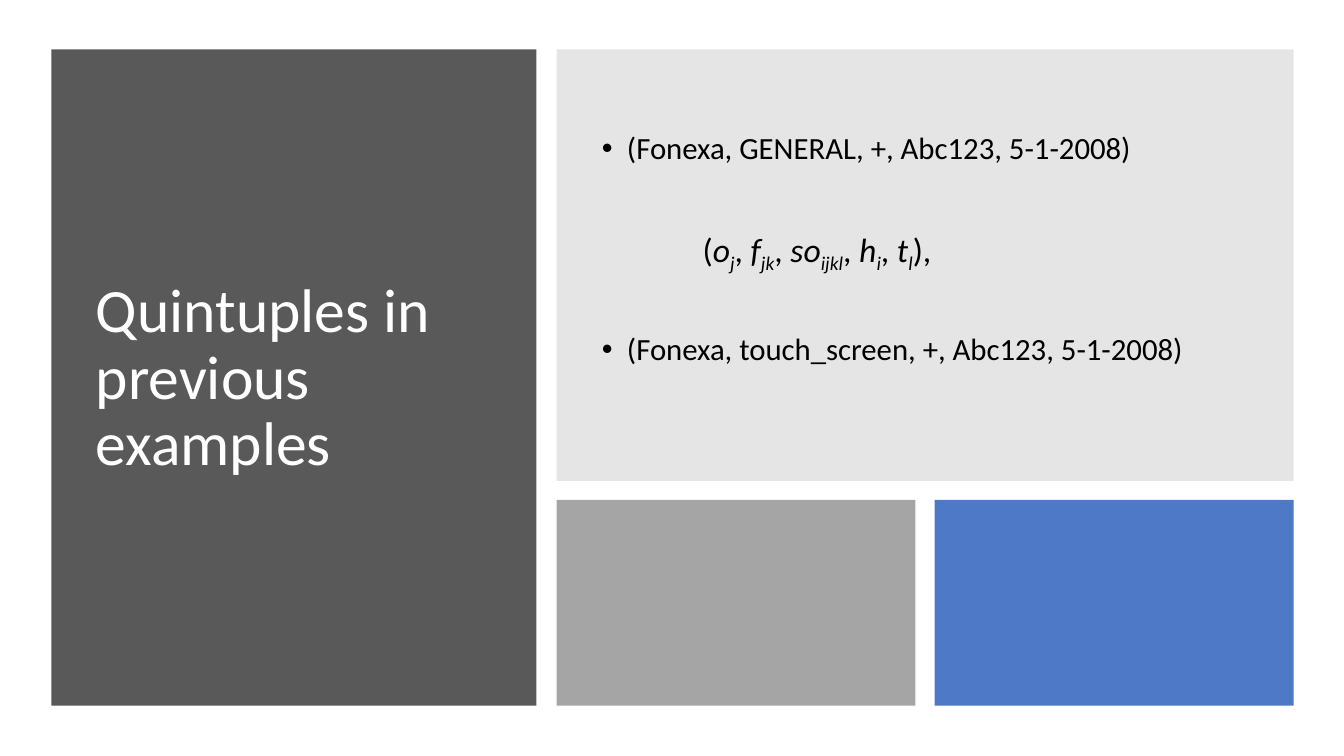
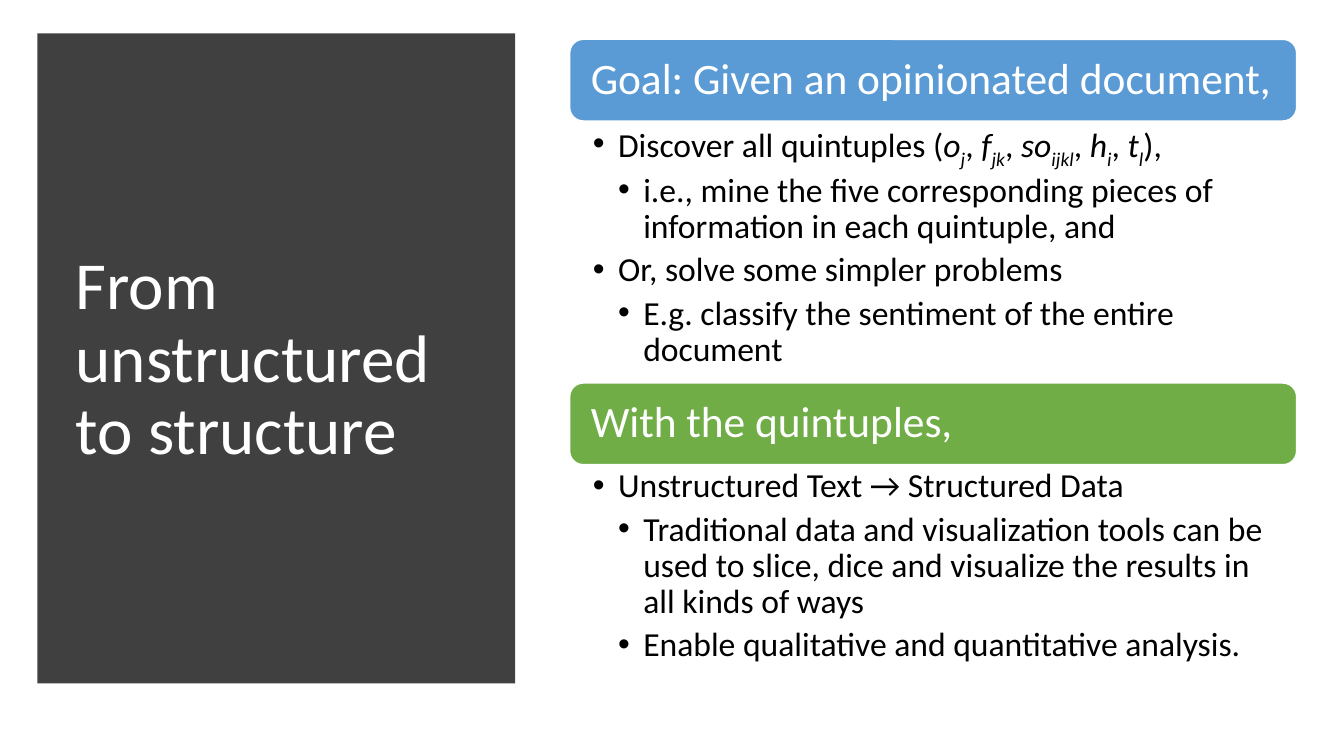
from lxml import etree
from pptx import Presentation
from pptx.dml.color import RGBColor
from pptx.enum.shapes import MSO_SHAPE
from pptx.enum.text import MSO_ANCHOR, MSO_AUTO_SIZE, PP_ALIGN
from pptx.oxml.ns import qn
from pptx.util import Inches, Pt

RECT, ROUNDED = MSO_SHAPE.RECTANGLE, MSO_SHAPE.ROUNDED_RECTANGLE
TOP, MIDDLE = MSO_ANCHOR.TOP, MSO_ANCHOR.MIDDLE
LEFT, NO_FIT = PP_ALIGN.LEFT, MSO_AUTO_SIZE.NONE

# Shared style
FONT = "Calibri"
LINE_SPACING = 0.9
INDENT = 0.25
WHITE = RGBColor(0xFF, 0xFF, 0xFF)
BLACK = RGBColor(0x00, 0x00, 0x00)
DARK_GREY = RGBColor(0x59, 0x59, 0x59)
CHARCOAL = RGBColor(0x40, 0x40, 0x40)
MID_GREY = RGBColor(0x80, 0x80, 0x80)
LIGHT_GREY = RGBColor(0xA5, 0xA5, 0xA5)
BLUE = RGBColor(0x44, 0x72, 0xC4)
SKY = RGBColor(0x5B, 0x9B, 0xD5)
GREEN = RGBColor(0x70, 0xAD, 0x47)

# Content: a tuple of (symbol, subscript) pairs stands for the formula
QUINTUPLE = (("o", "j"), ("f", "jk"), ("so", "ijkl"), ("h", "i"), ("t", "l"))

EXAMPLES_TITLE = "Quintuples in previous examples"
EXAMPLES = [  # parts, size, bulleted
    (["(Fonexa, GENERAL, +, Abc123, 5-1-2008)"], 22, True),
    ([QUINTUPLE], 24, False),
    (["(Fonexa, touch_screen, +, Abc123, 5-1-2008)"], 22, True),
]

STRUCTURE_TITLE = "From unstructured to structure"
SECTIONS = [  # heading, colour, body height, [(level, parts)]
    ("Goal: Given an opinionated document,", SKY, 2.6, [
        (1, ["Discover all quintuples ", QUINTUPLE]),
        (2, ["i.e., mine the five corresponding pieces of "
             "information in each quintuple, and"]),
        (1, ["Or, solve some simpler problems"]),
        (2, ["E.g. classify the sentiment of the entire document"]),
    ]),
    ("With the quintuples,", GREEN, 2.11, [
        (1, ["Unstructured Text → Structured Data"]),
        (2, ["Traditional data and visualization tools can be used to slice, "
             "dice and visualize the results in all kinds of ways"]),
        (2, ["Enable qualitative and quantitative analysis."]),
    ]),
]


def add_box(slide, kind, box, color, alpha=None):
    sp = slide.shapes.add_shape(kind, *map(Inches, box))
    sp.shadow.inherit = False
    sp.fill.solid()
    sp.fill.fore_color.rgb = color
    sp.line.fill.background()
    if alpha:
        clr = sp._element.spPr.find(qn("a:solidFill"))[0]
        etree.SubElement(clr, qn("a:alpha"), val=str(alpha * 1000))
    return sp


def set_frame(tf, anchor, margins=(0.1, 0.05, 0.1, 0.05)):
    tf.word_wrap = True
    tf.auto_size = NO_FIT
    tf.vertical_anchor = anchor
    tf.margin_left, tf.margin_top, tf.margin_right, tf.margin_bottom = map(
        Inches, margins)


def add_run(p, text, size, color, italic=False, subscript=False):
    r = p.add_run()
    r.text = text
    r.font.name, r.font.size, r.font.italic = FONT, Pt(size), italic
    r.font.color.rgb = color
    if subscript:
        r._r.get_or_add_rPr().set("baseline", "-25000")


def fill_paragraph(p, parts, size, color):
    p.alignment = LEFT
    p.line_spacing = LINE_SPACING
    p.space_before = p.space_after = Pt(0)
    for part in parts:
        if isinstance(part, str):
            add_run(p, part, size, color)
            continue
        lead = "("
        for symbol, index in part:
            add_run(p, lead, size, color)
            add_run(p, symbol, size, color, italic=True)
            add_run(p, index, size, color, italic=True, subscript=True)
            lead = ", "
        add_run(p, "),", size, color)


def set_indent(p, left, bullet=True):
    pPr = p._p.get_or_add_pPr()
    pPr.set("marL", str(Inches(left)))
    pPr.set("indent", str(Inches(-INDENT if bullet else 0)))
    if bullet:
        etree.SubElement(pPr, qn("a:buFont"), typeface="Arial")
        etree.SubElement(pPr, qn("a:buChar"), char="•")


def add_text(slide, box, anchor, *margins):
    tf = slide.shapes.add_textbox(*map(Inches, box)).text_frame
    set_frame(tf, anchor, *margins)
    return tf


def next_paragraph(tf, i):
    return tf.add_paragraph() if i else tf.paragraphs[0]


def add_titled_slide(prs, title, size, panel, color, title_box):
    slide = prs.slides.add_slide(prs.slide_layouts[5])
    sp = slide.shapes.title
    sp.left, sp.top, sp.width, sp.height = map(Inches, title_box)
    set_frame(sp.text_frame, MIDDLE)
    fill_paragraph(sp.text_frame.paragraphs[0], [title], size, WHITE)
    # The panel goes behind the title
    back = add_box(slide, RECT, panel, color)
    slide.shapes._spTree.insert(2, back._element)
    return slide


def build_examples(prs):
    left, top, right, bottom = 0.51, 0.49, 12.83, 7
    gap, panel_w, main_h = 0.19, 4.81, 4.28
    slide = add_titled_slide(prs, EXAMPLES_TITLE, 44,
                             (left, top, panel_w, bottom - top), DARK_GREY,
                             (0.85, 0.83, 4.11, 5.87))
    x = left + panel_w + 0.2
    add_box(slide, RECT, (x, top, right - x, main_h), MID_GREY, 20)

    # Two tiles under the main box
    tile_y = top + main_h + gap
    tile_w = (right - x - gap) / 2
    for i, (color, alpha) in enumerate([(LIGHT_GREY, None), (BLUE, 95)]):
        add_box(slide, RECT, (x + i * (tile_w + gap), tile_y, tile_w,
                              bottom - tile_y), color, alpha)

    tf = add_text(slide, (5.87, 0.88, 6.62, 3.2), MIDDLE)
    for i, (parts, size, bullet) in enumerate(EXAMPLES):
        p = next_paragraph(tf, i)
        fill_paragraph(p, parts, size, BLACK)
        if i:
            p.space_before = Pt(45)
        set_indent(p, INDENT if bullet else 1, bullet)


def build_structure(prs):
    slide = add_titled_slide(prs, STRUCTURE_TITLE, 48,
                             (0.37, 0.33, 4.74, 6.45), CHARCOAL,
                             (0.65, 0.7, 4.16, 5.75))
    x, y, width, heading_h = 5.65, 0.39, 7.21, 0.81
    for heading, color, body_h, items in SECTIONS:
        bar = add_box(slide, ROUNDED, (x, y, width, heading_h), color)
        bar.line.color.rgb = WHITE
        bar.line.width = Pt(1)
        set_frame(bar.text_frame, MIDDLE, (0.17, 0.13, 0.17, 0.13))
        fill_paragraph(bar.text_frame.paragraphs[0], [heading], 31, WHITE)
        y += heading_h

        tf = add_text(slide, (x, y, width, body_h), TOP,
                      (0.23, 0.04, 0.24, 0.04))
        for i, (level, parts) in enumerate(items):
            p = next_paragraph(tf, i)
            fill_paragraph(p, parts, 24, BLACK)
            p.space_after = Pt(5)
            set_indent(p, level * INDENT)
        y += body_h


def main():
    prs = Presentation()
    prs.slide_width, prs.slide_height = Inches(13.33), Inches(7.5)
    build_examples(prs)
    build_structure(prs)
    prs.save("out.pptx")


if __name__ == "__main__":
    main()
